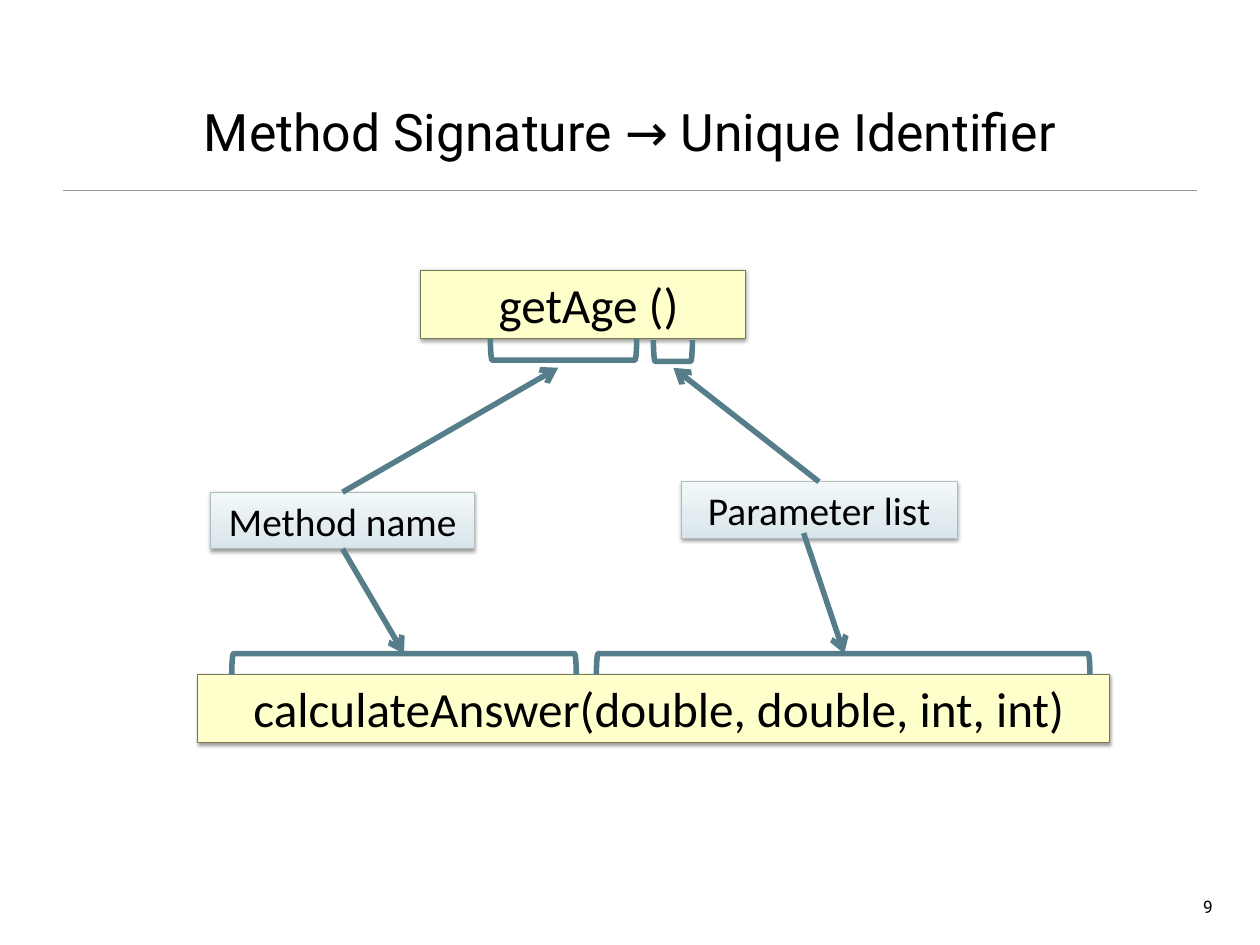
import copy

import lxml.etree
import pptx
import pptx.dml.color
import pptx.enum.shapes
import pptx.enum.text
import pptx.oxml.ns
import pptx.util

COLS, ROWS = 64, 48
FORMS = pptx.enum.shapes.MSO_SHAPE
ALIGN = pptx.enum.text.PP_ALIGN
ANCHOR = pptx.enum.text.MSO_ANCHOR
FIT = pptx.enum.text.MSO_AUTO_SIZE
qn = pptx.oxml.ns.qn


def paint(target, code):
    """Give a colour format the colour of a hex string."""
    target.rgb = pptx.dml.color.RGBColor.from_string(code)


def add_node(parent, tag, **values):
    return lxml.etree.SubElement(parent, qn(tag), **values)


class Board:
    """Style and current slide; lengths are columns and rows of the grid."""
    ink, teal, gray = "000000", "557E8A", "9A9A9A"
    cream, olive = "FFFFCC", "79794E"
    mist, edge = ((0, "D7E5EA"), (0.35, "E2ECF0"), (1, "F3F8F9")), "B0BCC0"
    head_font, code_font = "Roboto", "Calibri"

    def __init__(self, deck):
        self.wide, self.high = deck.slide_width, deck.slide_height
        self.slide = deck.slides.add_slide(deck.slide_layouts[5])
        self.shapes = self.slide.shapes
        paint(self.fill_solid(self.slide.background.fill), "FFFFFF")

    def fill_solid(self, fill):
        fill.solid()
        return fill.fore_color

    def place(self, left, top, width, height):
        """Turn grid units into lengths on the slide."""
        return (round(left * self.wide / COLS), round(top * self.high / ROWS),
                round(width * self.wide / COLS), round(height * self.high / ROWS))

    def add_text(self, shape, text, size, font, align):
        par = shape.text_frame.paragraphs[0]
        par.alignment = align
        run = par.add_run()
        run.text = text
        run.font.size, run.font.name = pptx.util.Pt(size), font
        paint(run.font.color, self.ink)

    def inset(self, frame):
        frame.margin_left = frame.margin_right = pptx.util.Inches(0.06)
        frame.margin_top = frame.margin_bottom = pptx.util.Inches(0.06)

    def title(self, text, *spot):
        shape = self.shapes.title
        shape.left, shape.top, shape.width, shape.height = self.place(*spot)
        frame = shape.text_frame
        self.inset(frame)
        frame.vertical_anchor, frame.auto_size = ANCHOR.BOTTOM, FIT.NONE
        self.add_text(shape, text, 42, self.head_font, ALIGN.CENTER)

    def number(self, text, *spot):
        shape = self.shapes.add_textbox(*self.place(*spot))
        self.inset(shape.text_frame)
        shape.text_frame.word_wrap = False
        self.add_text(shape, text, 14, self.head_font, ALIGN.RIGHT)

    def stroke(self, line, color, width):
        paint(self.fill_solid(line.fill), color)
        line.width = pptx.util.Pt(width)

    def shade(self, shape):
        """Give a shape a soft shadow below it."""
        shape.shadow.inherit = False
        effects = shape._element.spPr.find(qn("a:effectLst"))
        outer = add_node(effects, "a:outerShdw", blurRad="40000", dist="20000",
                         dir="5400000", rotWithShape="0")
        black = add_node(outer, "a:srgbClr", val=self.ink)
        add_node(black, "a:alpha", val="38000")

    def blend(self, shape):
        """Fill a shape with the mist stops, from bottom to top."""
        shape.fill.gradient()
        shape.fill.gradient_angle = 90
        stops = next(shape._element.spPr.iter(qn("a:gsLst")))
        stops.insert(1, copy.deepcopy(stops[0]))
        for stop, (share, color) in zip(shape.fill.gradient_stops, self.mist):
            stop.position = share
            paint(stop.color, color)

    def box(self, text, size, *spot):
        shape = self.shapes.add_shape(FORMS.RECTANGLE, *self.place(*spot))
        self.shade(shape)
        shape.text_frame.word_wrap = True
        shape.text_frame.auto_size = FIT.SHAPE_TO_FIT_TEXT
        self.add_text(shape, text, size, self.code_font, ALIGN.CENTER)
        return shape

    def code(self, text, *spot):
        shape = self.box(text, 40, *spot)
        paint(self.fill_solid(shape.fill), self.cream)
        self.stroke(shape.line, self.olive, 0.75)

    def label(self, text, *spot):
        shape = self.box(text, 32, *spot)
        self.blend(shape)
        self.stroke(shape.line, self.edge, 0.75)

    def brace(self, turn, *spot):
        """Draw a bracket that fills the spot once turned on its side."""
        left, top, width, height = self.place(*spot)
        shift = (width - height) // 2
        shape = self.shapes.add_shape(FORMS.LEFT_BRACKET, left + shift,
                                      top - shift, height, width)
        shape.rotation = turn
        shape.shadow.inherit = False
        shape.fill.background()
        self.stroke(shape.line, self.teal, 4.5)

    def line(self, start, end, color, width):
        shape = self.shapes.add_connector(
            pptx.enum.shapes.MSO_CONNECTOR.STRAIGHT,
            *self.place(*start, *end))
        self.stroke(shape.line, color, width)
        add_node(shape._element.spPr, "a:effectLst")
        return shape

    def arrow(self, start, end):
        shape = self.line(start, end, self.teal, 4.5)
        add_node(shape._element.spPr.find(qn("a:ln")), "a:tailEnd", type="arrow")


def main():
    deck = pptx.Presentation()
    deck.slide_width = pptx.util.Inches(14.22)
    deck.slide_height = pptx.util.Inches(10.67)
    board = Board(deck)

    board.line((3.2, 9.68), (60.8, 9.68), board.gray, 1)
    board.title("Method Signature → Unique Identifier", 2.8, 1.62, 58.4, 6.88)

    board.code(" calculateAnswer(double, double, int, int)", 10.04, 34.24, 46.3, 3.46)
    board.code(" getAge ()", 21.38, 13.72, 16.47, 3.46)
    board.label("Method name", 10.71, 25, 13.4, 2.88)
    board.label("Parameter list", 34.61, 24.47, 14, 2.88)

    for turn, left, top, width in ((90, 11.77, 33.2, 17.5),
                                   (90, 30.29, 33.2, 25.07),
                                   (270, 24.91, 17.21, 7.43),
                                   (270, 33.19, 17.28, 1.98)):
        board.brace(turn, left, top, width, 1.08)

    for start, end in (((17.4, 27.88), (20.52, 33.2)),
                       ((40.82, 27.08), (42.88, 33.2)),
                       ((17.4, 25), (28.35, 18.68)),
                       ((41.6, 24.47), (34.2, 18.68))):
        board.arrow(start, end)

    board.number("9", 60.35, 45.27, 1.53, 1.48)
    deck.save("out.pptx")


if __name__ == "__main__":
    main()
